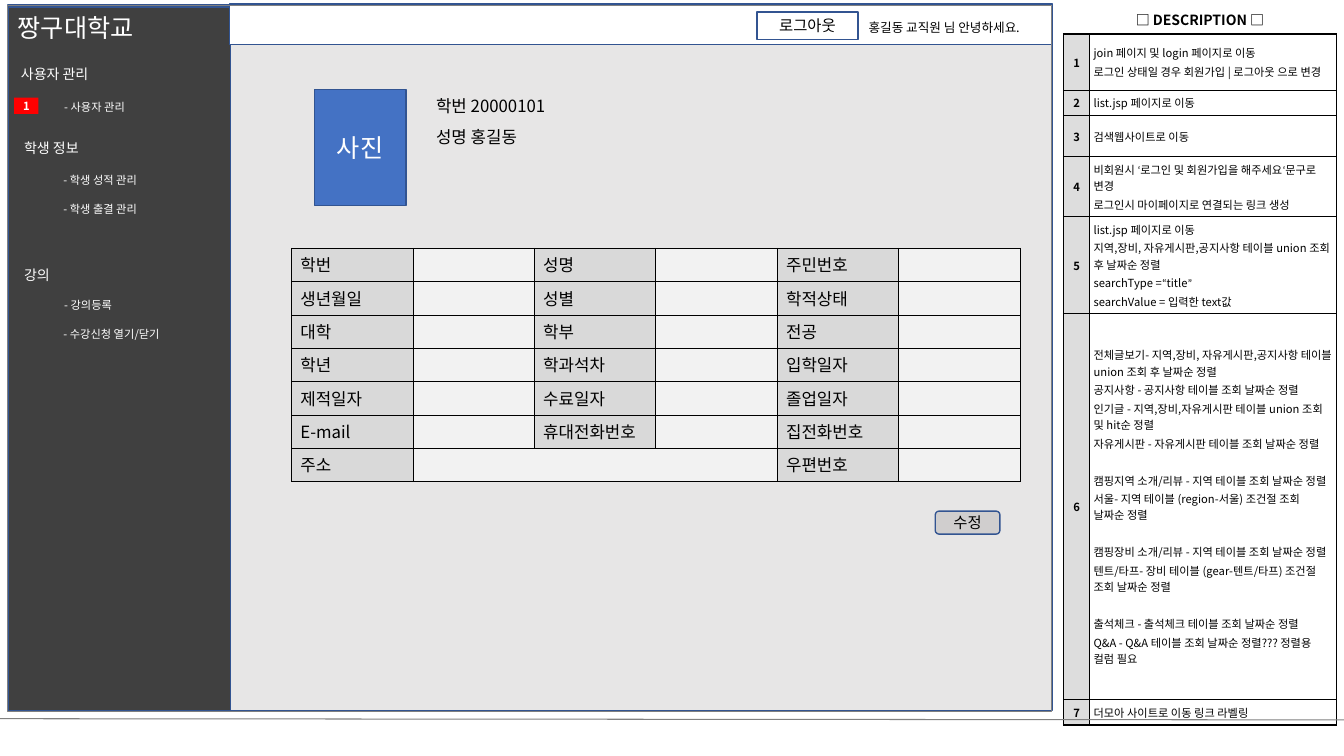
from itertools import groupby

from lxml import etree
from pptx import Presentation
from pptx import util as u
from pptx.dml.color import RGBColor
from pptx.enum import shapes, text
from pptx.oxml.ns import qn

# Content
COLORS = {
    "white": "FFFFFF", "black": "000000", "panel": "E7E6E6", "sidebar": "404040",
    "outline": "325491", "grey": "808080", "badge": "FF0000", "photo": "4472C4",
    "button": "D0CECE", "number": "DDDDDD", "label": "D9D9D9", "value": "F2F2F2",
}
FONT, QUOTE_FONT, QUOTES = "Noto Sans CJK KR", "Calibri", "‘“”"

# Sidebar entries: text, left, top, width
SECTIONS = [("사용자 관리", 0.28, 1.52), ("학생 정보", 0.36, 3.38), ("강의", 0.36, 6.6)]
MENU = [
    ("- 사용자 관리", 1.37, 2.41, 2.26),
    ("- 학생 성적 관리", 1.35, 4.24, 2.64),
    ("- 학생 출결 관리", 1.35, 4.98, 2.64),
    ("- 강의등록", 1.37, 7.39, 1.98),
    ("- 수강신청 열기/닫기", 1.35, 8.13, 3.23),
]
PROFILE = [("학번 20000101", 2.29, 3.4), ("성명 홍길동", 3.07, 2.79)]
STUDENT_LABELS = [
    ("학번", "성명", "주민번호"),
    ("생년월일", "성별", "학적상태"),
    ("대학", "학부", "전공"),
    ("학년", "학과석차", "입학일자"),
    ("제적일자", "수료일자", "졸업일자"),
    ("E-mail", "휴대전화번호", "집전화번호"),
    ("주소", "", "우편번호"),
]
DESCRIPTION_TITLE, TITLE_HEIGHT = "□ DESCRIPTION □", 0.69
# Row height, then blocks of paragraphs; blocks are set apart by a gap
DESCRIPTIONS = [
    (1.42, [["join 페이지 및 login 페이지로 이동",
             "로그인 상태일 경우 회원가입 | 로그아웃 으로 변경"]]),
    (0.58, [["list.jsp 페이지로 이동"]]),
    (1.04, [["검색웹사이트로 이동"]]),
    (1.42, [["비회원시 ‘로그인 및 회원가입을 해주세요‘문구로 변경",
             "로그인시 마이페이지로 연결되는 링크 생성"]]),
    (2.31, [["list.jsp 페이지로 이동",
             "지역,장비, 자유게시판,공지사항 테이블 union 조회 후 날짜순 정렬",
             "searchType =“title”",
             "searchValue = 입력한 text값"]]),
    (9.73, [["전체글보기- 지역,장비, 자유게시판,공지사항 테이블 union 조회 후 날짜순 정렬",
             "공지사항 - 공지사항 테이블 조회 날짜순 정렬",
             "인기글 - 지역,장비,자유게시판 테이블 union 조회 및 hit순 정렬",
             "자유게시판 - 자유게시판 테이블 조회 날짜순 정렬"],
            ["캠핑지역 소개/리뷰 - 지역 테이블 조회 날짜순 정렬",
             "서울- 지역 테이블 (region-서울) 조건절 조회 날짜순 정렬"],
            ["캠핑장비 소개/리뷰 - 지역 테이블 조회 날짜순 정렬",
             "텐트/타프- 장비 테이블 (gear-텐트/타프) 조건절 조회 날짜순 정렬"],
            ["출석체크 - 출석체크 테이블 조회 날짜순 정렬",
             "Q&A - Q&A 테이블 조회 날짜순 정렬??? 정렬용 컬럼 필요"]]),
    (0.58, [["더모아 사이트로 이동 링크 라벨링"]]),
]
LINE_GAP, BLOCK_GAP = 1.6, 14.8

deck = Presentation()
deck.slide_width, deck.slide_height = u.Cm(33.87), u.Cm(19.05)
page = deck.slides.add_slide(deck.slide_layouts[6])


def rgb(name):
    return RGBColor.from_string(COLORS[name])


def add_span(para, words, size, color="black", bold=False, font=FONT):
    span = para.add_run()
    span.text = words
    span.font.size, span.font.bold, span.font.name = u.Pt(size), bold, font
    span.font.color.rgb = rgb(color)
    east_asian = etree.SubElement(span.font._element, qn("a:ea"))
    east_asian.set("typeface", font)


def add_label(words, left, top, width, height, size, color="black", wrap=False):
    box = page.shapes.add_textbox(*map(u.Cm, (left, top, width, height)))
    box.text_frame.word_wrap = wrap
    box.text_frame.auto_size = text.MSO_AUTO_SIZE.SHAPE_TO_FIT_TEXT
    add_span(box.text_frame.paragraphs[0], words, size, color)


def add_box(place, fill=None, line="outline", weight=1, words="", size=11,
            color="black", bold=False, wrap=True, kind=shapes.MSO_SHAPE.RECTANGLE):
    box = page.shapes.add_shape(kind, *map(u.Cm, place))
    box.shadow.inherit = False
    if fill:
        box.fill.solid()
        box.fill.fore_color.rgb = rgb(fill)
    else:
        box.fill.background()
    if line:
        box.line.color.rgb, box.line.width = rgb(line), u.Pt(weight)
    else:
        box.line.fill.background()
    if words:
        frame = box.text_frame
        frame.word_wrap, frame.vertical_anchor = wrap, text.MSO_ANCHOR.MIDDLE
        frame.paragraphs[0].alignment = text.PP_ALIGN.CENTER
        add_span(frame.paragraphs[0], words, size, color, bold)


def add_grid(left, top, widths, heights):
    place = map(u.Cm, (left, top, sum(widths), sum(heights)))
    grid = page.shapes.add_table(len(heights), len(widths), *place).table
    grid.first_row = grid.horz_banding = False
    for column, width in zip(grid.columns, widths):
        column.width = u.Cm(width)
    for row, height in zip(grid.rows, heights):
        row.height = u.Cm(height)
    return grid


def style_cell(cell, fill, weight, side_margin, sides="LRTB"):
    props = cell._tc.get_or_add_tcPr()
    for side in "LRTB":
        edge = etree.SubElement(props, qn("a:ln" + side), w=str(u.Pt(weight)))
        if side in sides:
            paint = etree.SubElement(edge, qn("a:solidFill"))
            etree.SubElement(paint, qn("a:srgbClr"), val=COLORS["black"])
        else:
            etree.SubElement(edge, qn("a:noFill"))
    cell.fill.solid()
    cell.fill.fore_color.rgb = rgb(fill)
    cell.margin_left = cell.margin_right = u.Cm(side_margin)
    cell.margin_top = cell.margin_bottom = u.Cm(0.11)


def fill_description(cell, blocks, fill, size=8, bold=False, centred=False, sides="LRTB"):
    style_cell(cell, fill, 1, 0.1, sides)
    cell.vertical_anchor = text.MSO_ANCHOR.MIDDLE
    lines = [(line, b > 0 and i == 0) for b, block in enumerate(blocks)
             for i, line in enumerate(block)]
    for index, (line, gap) in enumerate(lines):
        para = cell.text_frame.add_paragraph() if index else cell.text_frame.paragraphs[0]
        para.space_before = u.Pt(BLOCK_GAP if gap else LINE_GAP)
        if centred:
            para.alignment = text.PP_ALIGN.CENTER
        for quoted, letters in groupby(line, lambda letter: letter in QUOTES):
            add_span(para, "".join(letters), size, bold=bold,
                     font=QUOTE_FONT if quoted else FONT)


# Page panels
add_box((0.2, 0.13, 26.31, 17.78), "panel")
add_box((0.2, 0.18, 5.61, 17.73), "sidebar")
add_box((5.79, 0.1, 20.73, 1.02), "white")

# Description table
notes = add_grid(26.8, 0.13, [0.66, 6.22], [TITLE_HEIGHT] + [d[0] for d in DESCRIPTIONS])
notes.cell(0, 0).merge(notes.cell(0, 1))
fill_description(notes.cell(0, 0), [[DESCRIPTION_TITLE]], "white", 10, True, True, "B")
style_cell(notes.cell(0, 1), "white", 1, 0.1, "B")
for number, (_, blocks) in enumerate(DESCRIPTIONS, 1):
    fill_description(notes.cell(number, 0), [[str(number)]], "number", bold=True, centred=True)
    fill_description(notes.cell(number, 1), blocks, "white")

# Frame and footer rule
add_box((0.2, 0.13, 26.31, 17.81), line="grey", weight=0.75)
rule = page.shapes.add_connector(
    shapes.MSO_CONNECTOR.STRAIGHT, *map(u.Cm, (0, 18.11, 33.87, 18.14)))
rule.line.color.rgb, rule.line.width = rgb("grey"), u.Pt(0.75)
etree.SubElement(rule._element.spPr, qn("a:effectLst"))

# Sidebar menu
for words, left, top in SECTIONS:
    add_label(words, left, top, 7.67, 0.69, 10, "white", wrap=True)
add_label("짱구대학교", 0.2, 0.18, 3.71, 1.02, 18, "white")
for words, left, top, width in MENU:
    add_label(words, left, top, width, 0.61, 8, "white")
add_box((0.36, 2.46, 0.61, 0.41), "badge", None, words="1", size=8,
        color="white", bold=True, wrap=False)

# Top bar
add_label("홍길동 교직원 님 안녕하세요.", 21.64, 0.38, 4.78, 0.64, 9)
add_box((19.08, 0.3, 2.54, 0.69), "white", words="로그아웃")

# Student profile
add_box((7.92, 2.26, 2.31, 2.92), "photo", words="사진", size=18, color="white")
for words, top, width in PROFILE:
    add_label(words, 10.74, top, width, 0.76, 12)

# Student table: labels alternate with empty values
student = add_grid(7.34, 6.25, [3.06] * 6, [0.84] * len(STUDENT_LABELS))
last = len(STUDENT_LABELS) - 1
student.cell(last, 1).merge(student.cell(last, 3))
for r, labels in enumerate(STUDENT_LABELS):
    for c in range(6):
        cell = student.cell(r, c)
        words = labels[c // 2] if c % 2 == 0 else ""
        style_cell(cell, "label" if words else "value", 0.25, 0.23)
        para = cell.text_frame.paragraphs[0]
        if words:
            add_span(para, words, 12)
        else:
            etree.SubElement(para._p, qn("a:endParaRPr"), sz="1200")

# Edit button
add_box((23.57, 12.88, 1.63, 0.58), "button", words="수정",
        kind=shapes.MSO_SHAPE.ROUNDED_RECTANGLE)

deck.save("out.pptx")
